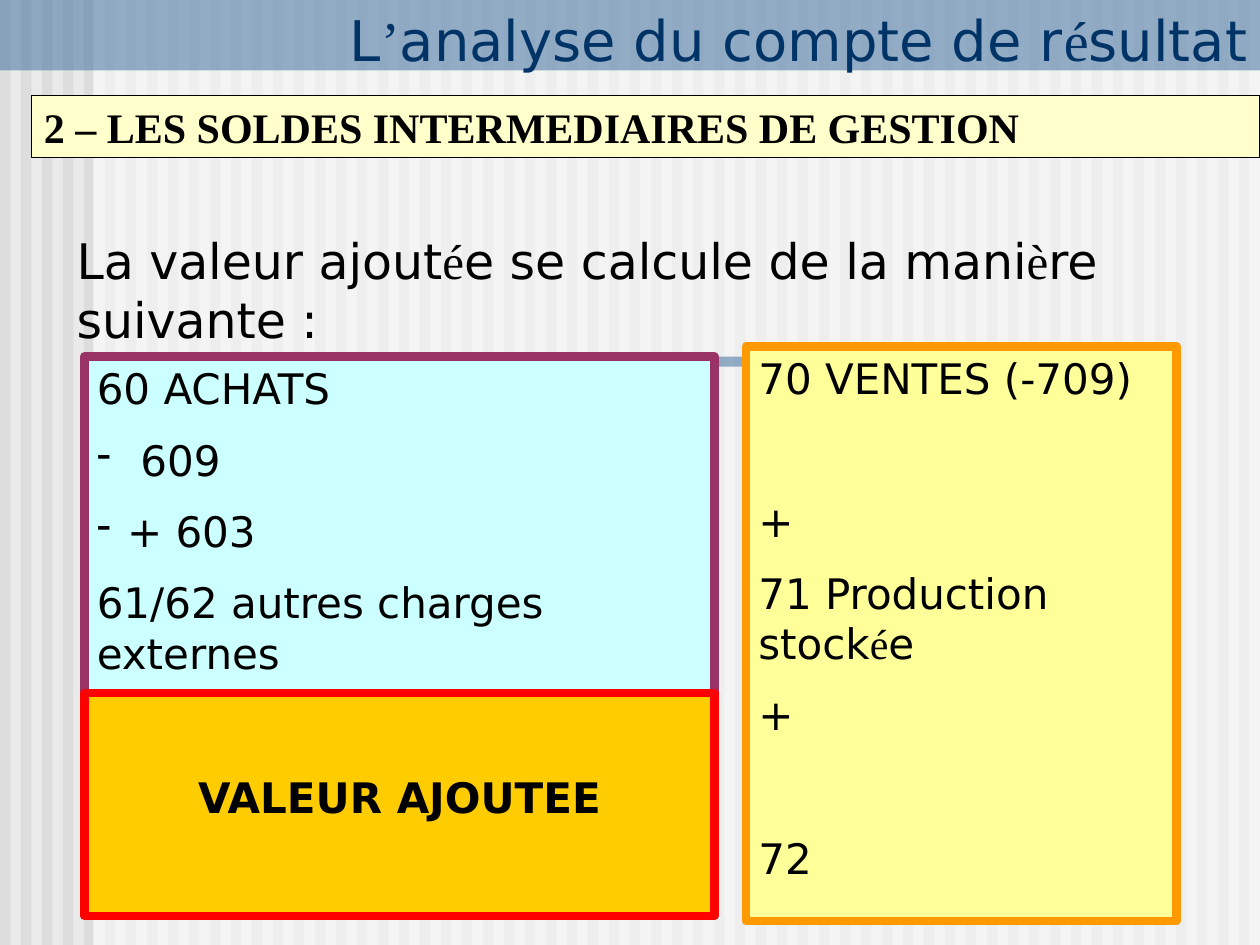
from itertools import groupby

from lxml import etree
from pptx import Presentation
from pptx.dml.color import RGBColor
from pptx.enum.shapes import MSO_SHAPE
from pptx.enum.text import MSO_ANCHOR, PP_ALIGN
from pptx.oxml.ns import qn
from pptx.util import Inches, Pt

RECT = MSO_SHAPE.RECTANGLE
TOP, BOTTOM = MSO_ANCHOR.TOP, MSO_ANCHOR.BOTTOM
LEFT, CENTER, RIGHT = PP_ALIGN.LEFT, PP_ALIGN.CENTER, PP_ALIGN.RIGHT
SANS, SERIF = "DejaVu Sans", "Times New Roman"
SERIF_CHARACTERS = "’éè"

WIDTH, HEIGHT = 10, 7.5
STRIPES = 60
STRIPE_PITCH = WIDTH / STRIPES
GAP, WIDE_GAP = 12, 53
HANGING = 0.24

TITLE = "L’analyse du compte de résultat"
HEADING = "2 – LES SOLDES INTERMEDIAIRES DE GESTION"
INTRO = "La valeur ajoutée se calcule de la manière suivante :"
VEILS = [
    (0.74, 0, 9.26, HEIGHT, "FFFFFF"),
    (0, 0, WIDTH, 0.56, "336699"),
    (3.83, 2.83, 5.35, 0.08, "336699"),
]
PANELS = [
    {"place": (0.25, 0.76, 9.75, 0.49), "fill": "FFFFCC", "border": ("000000", 0.75),
     "lines": [(HEADING, 0, False)], "font": SERIF, "bold": True},
    {"place": (5.92, 2.75, 3.42, 4.56), "fill": "FFFF99", "border": ("FF9900", 5),
     "lines": [("70 VENTES (-709)", GAP, False), ("+", WIDE_GAP, False),
               ("71 Production stockée", GAP, False), ("+", GAP, False),
               ("72", WIDE_GAP, False)]},
    {"place": (0.67, 2.83, 5, 2.77), "fill": "CCFFFF", "border": ("993366", 5),
     "lines": [("60 ACHATS", GAP, False), (" 609", GAP, True), ("+ 603", GAP, True),
               ("61/62 autres charges externes", GAP, False)]},
    {"place": (0.67, 5.5, 5, 1.77), "fill": "FFCC00", "border": ("FF0000", 5),
     "lines": [("VALEUR AJOUTEE", 0, False)], "bold": True,
     "align": CENTER, "inset_top": 0.62},
]


def paint(color_format, value):
    color_format.rgb = RGBColor.from_string(value)


def inches(place):
    return [Inches(length) for length in place]


def add_box(slide, place, color, alpha=None):
    box = slide.shapes.add_shape(RECT, *inches(place))
    box.shadow.inherit = False
    box.fill.solid()
    paint(box.fill.fore_color, color)
    box.line.fill.background()
    if alpha:
        tint = box.fill._xPr.find(".//" + qn("a:srgbClr"))
        etree.SubElement(tint, qn("a:alpha")).set("val", str(alpha * 1000))
    return box


def write(paragraph, words, size, color="000000", font=SANS, bold=False, align=LEFT):
    paragraph.alignment = align
    for accented, letters in groupby(words, lambda letter: letter in SERIF_CHARACTERS):
        run = paragraph.add_run()
        run.text = "".join(letters)
        run.font.name = SERIF if accented else font
        run.font.size = Pt(size)
        run.font.bold = bold
        paint(run.font.color, color)


def add_dash(paragraph):
    properties = paragraph._p.get_or_add_pPr()
    properties.set("marL", str(Inches(HANGING)))
    properties.set("indent", str(-Inches(HANGING)))
    etree.SubElement(properties, qn("a:buChar")).set("char", "-")


def add_panel(slide, panel):
    box = add_box(slide, panel["place"], panel["fill"])
    border_color, border_width = panel["border"]
    paint(box.line.color, border_color)
    box.line.width = Pt(border_width)
    frame = box.text_frame
    frame.word_wrap = True
    frame.vertical_anchor = TOP
    frame.margin_top = Inches(panel.get("inset_top", 0.05))
    for row, (words, gap, dashed) in enumerate(panel["lines"]):
        paragraph = frame.add_paragraph() if row else frame.paragraphs[0]
        write(paragraph, words, 24, font=panel.get("font", SANS),
              bold=panel.get("bold", False), align=panel.get("align", LEFT))
        paragraph.space_before = Pt(gap if row else 0)
        if dashed:
            add_dash(paragraph)


def main():
    deck = Presentation()
    deck.slide_width, deck.slide_height = Inches(WIDTH), Inches(HEIGHT)
    slide = deck.slides.add_slide(deck.slide_layouts[5])
    slide.background.fill.solid()
    paint(slide.background.fill.fore_color, "EAEAEA")

    for column in range(STRIPES):
        add_box(slide, (column * STRIPE_PITCH, 0, STRIPE_PITCH / 2, HEIGHT), "DDDDDD")
    for *place, color in VEILS:
        add_box(slide, place, color, alpha=50)

    title = slide.shapes.title
    title.left, title.top, title.width, title.height = inches((1.6, 0, 8.4, 0.63))
    title.text_frame.vertical_anchor = BOTTOM
    write(title.text_frame.paragraphs[0], TITLE, 32, "003366", align=RIGHT)
    slide.shapes._spTree.append(title._element)

    intro = slide.shapes.add_textbox(*inches((0.51, 1.78, 8.74, 1.03))).text_frame
    intro.word_wrap = True
    write(intro.paragraphs[0], INTRO, 28)

    for panel in PANELS:
        add_panel(slide, panel)
    deck.save("out.pptx")


if __name__ == "__main__":
    main()
